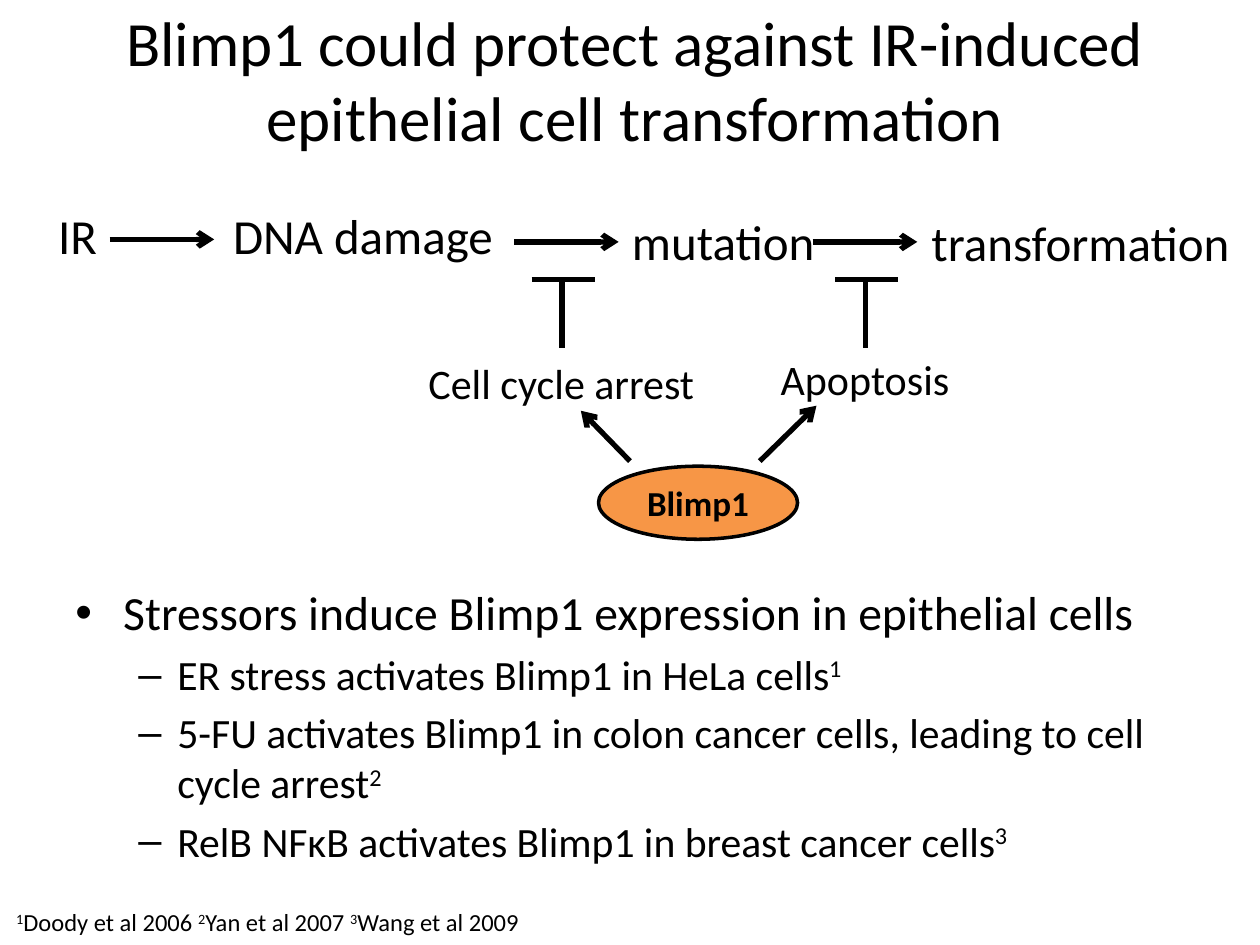
from lxml.etree import SubElement
from pptx import Presentation
from pptx.dml.color import RGBColor
from pptx.enum.shapes import MSO_CONNECTOR, MSO_SHAPE
from pptx.enum.text import MSO_ANCHOR, MSO_AUTO_SIZE, PP_ALIGN
from pptx.oxml.ns import qn
from pptx.util import Inches, Pt

COLORS = {"ink": "000000", "protein": "F79646", "background": "FFFFFF"}
COLUMNS, ROWS = 100, 75


class PathwaySlide:
    """Draws styled elements on one slide, placed on a grid of 100 columns by 75 rows."""

    font_name = "Calibri"

    def __init__(self, presentation):
        self.column = presentation.slide_width / COLUMNS
        self.row = presentation.slide_height / ROWS
        self.slide = presentation.slides.add_slide(presentation.slide_layouts[6])
        self.slide.background.fill.solid()
        self.slide.background.fill.fore_color.rgb = self.color("background")

    def color(self, name):
        return RGBColor.from_string(COLORS[name])

    def place(self, left, top, width, height):
        return [round(left * self.column), round(top * self.row),
                round(width * self.column), round(height * self.row)]

    def set_paragraph(self, paragraph, text, size, alignment, bold=False):
        paragraph.alignment = alignment
        font = paragraph.font
        font.name, font.size, font.bold = self.font_name, Pt(size), bold
        font.color.rgb = self.color("ink")
        first, *marked = text.split("^")
        pieces = [(first, False)]
        for piece in marked:
            pieces += [(piece[0], True), (piece[1:], False)]
        for content, raised in pieces:
            if content:
                run = paragraph.add_run()
                run.text = content
                if raised:
                    run._r.get_or_add_rPr().set("baseline", "30000")

    def text(self, box, text, size, alignment=PP_ALIGN.CENTER, wrap=True,
             grow=True, anchor=MSO_ANCHOR.TOP):
        frame = self.slide.shapes.add_textbox(*self.place(*box)).text_frame
        frame.word_wrap = wrap
        frame.auto_size = MSO_AUTO_SIZE.SHAPE_TO_FIT_TEXT if grow else MSO_AUTO_SIZE.NONE
        frame.vertical_anchor = anchor
        self.set_paragraph(frame.paragraphs[0], text, size, alignment)

    def bullets(self, box, items):
        styles = [("•", 27.2, 0.38, 0.38), ("–", 23.8, 0.81, 0.31)]
        frame = self.slide.shapes.add_textbox(*self.place(*box)).text_frame
        frame.word_wrap = True
        for index, (level, text) in enumerate(items):
            paragraph = frame.add_paragraph() if index else frame.paragraphs[0]
            mark, size, margin, hanging = styles[level]
            paragraph.level = level
            paragraph.space_before = Pt(round(size * 0.2, 1))
            properties = paragraph._p.get_or_add_pPr()
            properties.set("marL", str(Inches(margin)))
            properties.set("indent", str(-Inches(hanging)))
            SubElement(properties, qn("a:buFont")).set("typeface", "Arial")
            SubElement(properties, qn("a:buChar")).set("char", mark)
            self.set_paragraph(paragraph, text, size, PP_ALIGN.LEFT)

    def line(self, start, end, arrow=False):
        connector = self.slide.shapes.add_connector(
            MSO_CONNECTOR.STRAIGHT, *self.place(*start, *end))
        connector.line.width = Pt(3)
        connector.line.color.rgb = self.color("ink")
        properties = connector._element.spPr
        if arrow:
            SubElement(properties.get_or_add_ln(), qn("a:tailEnd")).set("type", "arrow")
        SubElement(properties, qn("a:effectLst"))

    def inhibitor(self, left, top):
        self.line((left, top), (left + 5, top))
        self.line((left + 2.4, top + 5.4), (left + 2.4, top))

    def ellipse(self, box, text, size):
        shape = self.slide.shapes.add_shape(MSO_SHAPE.OVAL, *self.place(*box))
        shape.shadow.inherit = False
        shape.fill.solid()
        shape.fill.fore_color.rgb = self.color("protein")
        shape.line.color.rgb = self.color("ink")
        shape.line.width = Pt(2)
        shape.text_frame.vertical_anchor = MSO_ANCHOR.MIDDLE
        self.set_paragraph(shape.text_frame.paragraphs[0], text, size,
                           PP_ALIGN.CENTER, bold=True)


def main():
    presentation = Presentation()
    presentation.slide_width, presentation.slide_height = Inches(10), Inches(7.5)
    pathway = PathwaySlide(presentation)

    pathway.text((2.5, 0, 95.8, 12.5),
                 "Blimp1 could protect against IR-induced epithelial cell transformation",
                 36, grow=False, anchor=MSO_ANCHOR.MIDDLE)
    pathway.bullets((5, 45.8, 90, 22.5), [
        (0, "Stressors induce Blimp1 expression in epithelial cells"),
        (1, "ER stress activates Blimp1 in HeLa cells^1"),
        (1, "5-FU activates Blimp1 in colon cancer cells, leading to cell cycle arrest^2"),
        (1, "RelB NFκB activates Blimp1 in breast cancer cells^3"),
    ])

    for left, top, width, stage in [(1.7, 15.8, 8.9, "IR"), (17, 15.8, 23.6, "DNA damage"),
                                    (45.6, 16.3, 23.6, "mutation"),
                                    (72.6, 16.4, 26.3, "transformation")]:
        pathway.text((left, top, width, 5.7), stage, 28)
    for left, top in [(8.7, 19), (40.8, 19.2), (64.5, 19.2)]:
        pathway.line((left, top), (left + 8.3, top), arrow=True)

    for left in (42.2, 66.3):
        pathway.inhibitor(left, 22.2)
    pathway.text((32.9, 27.9, 23.3, 5), "Cell cycle arrest", 24, wrap=False)
    pathway.text((60.9, 27.6, 15.5, 5), "Apoptosis", 24, wrap=False)

    pathway.ellipse((47.5, 37, 15.8, 5.8), "Blimp1", 20)
    pathway.line((60.3, 36.6), (64.8, 32.2), arrow=True)
    pathway.line((50, 36.6), (46.1, 32.6), arrow=True)

    pathway.text((0.3, 71.5, 43.4, 3.4),
                 "^1Doody et al 2006 ^2Yan et al 2007 ^3Wang et al 2009",
                 14, PP_ALIGN.LEFT, wrap=False)
    presentation.save("out.pptx")


if __name__ == "__main__":
    main()
